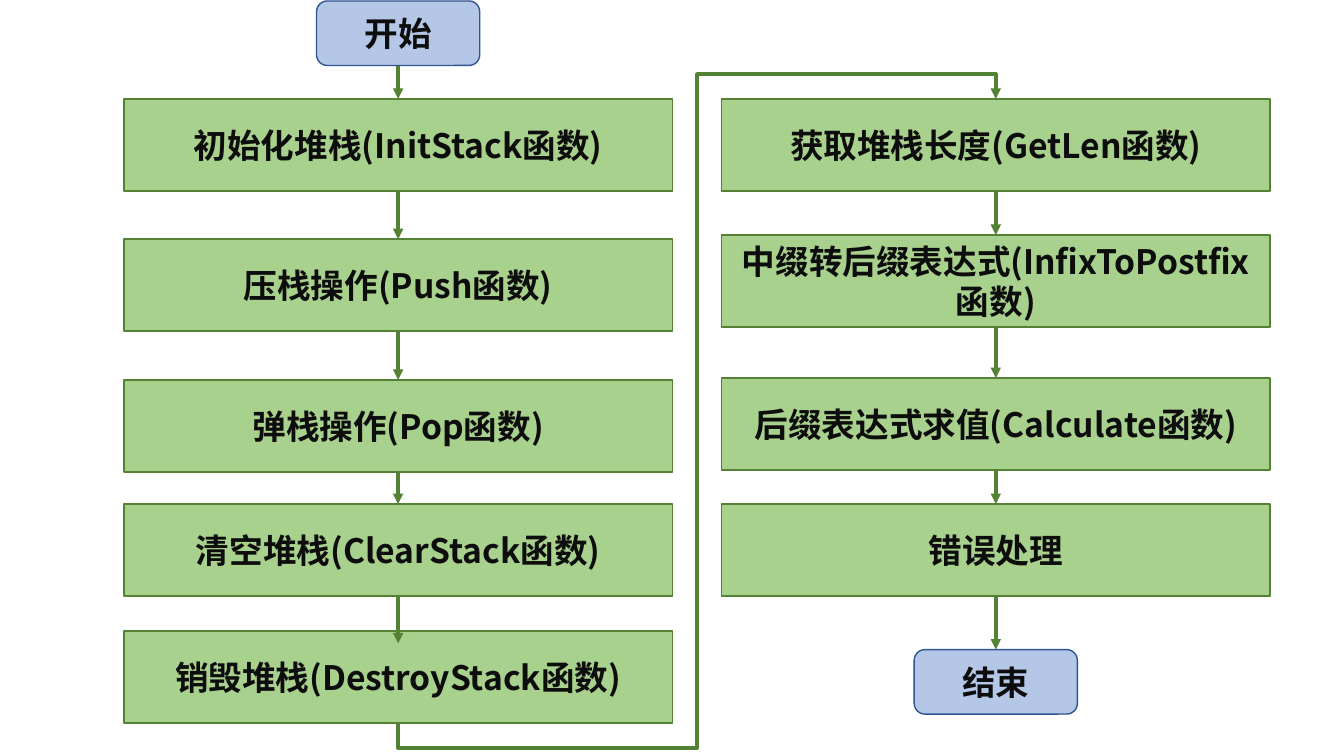
from itertools import pairwise
from lxml.etree import SubElement
from pptx import Presentation
from pptx.dml.color import RGBColor
from pptx.enum.shapes import MSO_CONNECTOR, MSO_SHAPE
from pptx.enum.text import MSO_ANCHOR, PP_ALIGN
from pptx.oxml.ns import qn
from pptx.util import Pt

COLOURS = {
    "step": "A9D18E",
    "step_line": "548235",
    "terminal": "B4C7E7",
    "terminal_line": "325491",
    "text": "0D0D0D",
}
FONT = "Noto Sans CJK SC"
LEFT_CENTRE, RIGHT_CENTRE = 284.4, 711.3
STEP_SIZE = (391.7, 65.8)
TERMINAL_SIZE = (116.6, 46.1)
LEFT_STEPS = [
    ("初始化堆栈(InitStack函数)", 70.7),
    ("压栈操作(Push函数)", 170.8),
    ("弹栈操作(Pop函数)", 271.4),
    ("清空堆栈(ClearStack函数)", 360),
    ("销毁堆栈(DestroyStack函数)", 450.7),
]
RIGHT_STEPS = [
    ("获取堆栈长度(GetLen函数)", 70.7),
    ("中缀转后缀表达式(InfixToPostfix函数)", 167.8),
    ("后缀表达式求值(Calculate函数)", 270),
    ("错误处理", 360),
]


def colour(name):
    return RGBColor.from_string(COLOURS[name])


def write(box, text, size=24, bold=True, ink="text", align=PP_ALIGN.CENTER):
    frame = box.text_frame
    frame.word_wrap = True
    frame.vertical_anchor = MSO_ANCHOR.MIDDLE
    para = frame.paragraphs[0]
    para.alignment = align
    span = para.add_run()
    span.text = text
    span.font.size = Pt(size)
    span.font.bold = bold
    span.font.color.rgb = colour(ink)
    span.font.name = FONT
    properties = span.font._element
    SubElement(properties, qn("a:ea")).set("typeface", FONT)


class Flowchart:
    def __init__(self, page, line_width=1, arrow_width=2.5):
        self.page = page
        self.line_width = line_width
        self.arrow_width = arrow_width

    def box(self, text, centre, top, size, preset, style):
        width, height = size
        box = self.page.shapes.add_shape(
            preset, Pt(centre - width / 2), Pt(top), Pt(width), Pt(height))
        box.shadow.inherit = False
        box.fill.solid()
        box.fill.fore_color.rgb = colour(style)
        box.line.color.rgb = colour(style + "_line")
        box.line.width = Pt(self.line_width)
        write(box, text)
        return box

    def step(self, text, centre, top):
        return self.box(text, centre, top, STEP_SIZE, MSO_SHAPE.RECTANGLE, "step")

    def terminal(self, text, centre, top):
        return self.box(text, centre, top, TERMINAL_SIZE,
                        MSO_SHAPE.ROUNDED_RECTANGLE, "terminal")

    def connector(self, kind, start, end):
        connector = self.page.shapes.add_connector(
            kind, *(Pt(length) for length in (*start, *end)))
        connector.line.color.rgb = colour("step_line")
        connector.line.width = Pt(self.arrow_width)
        properties = connector.element.spPr
        SubElement(properties.find(qn("a:ln")), qn("a:tailEnd")).set("type", "triangle")
        SubElement(properties, qn("a:effectLst"))
        return connector

    def arrow(self, upper, lower):
        arrow = self.connector(MSO_CONNECTOR.STRAIGHT, (0, 0), (0, 0))
        arrow.begin_connect(upper, 2)
        arrow.end_connect(lower, 0)
        return arrow

    def return_arrow(self, start, end, overshoot):
        (left, bottom), (right, top) = start, end
        middle_x, middle_y = (left + right) / 2, (top + bottom) / 2
        half_run, half_rise = (right - left) / 2, (bottom - top) / 2
        arrow = self.connector(
            MSO_CONNECTOR.ELBOW,
            (middle_x + half_rise, middle_y + half_run),
            (middle_x - half_rise, middle_y - half_run))
        properties = arrow.element.spPr
        properties.find(qn("a:xfrm")).set("rot", str(90 * 60000))
        geometry = properties.find(qn("a:prstGeom"))
        geometry.set("prst", "bentConnector5")
        share = overshoot / (bottom - top)
        for number, bend in enumerate((-share, 0.5, 1 + share), 1):
            guide = SubElement(geometry.find(qn("a:avLst")), qn("a:gd"))
            guide.set("name", f"adj{number}")
            guide.set("fmla", f"val {round(bend * 100000)}")


def main():
    deck = Presentation()
    deck.slide_width, deck.slide_height = Pt(960), Pt(540)
    page = deck.slides.add_slide(deck.slide_layouts[6])
    chart = Flowchart(page)

    left = [chart.step(text, LEFT_CENTRE, top) for text, top in LEFT_STEPS]
    right = [chart.step(text, RIGHT_CENTRE, top) for text, top in RIGHT_STEPS]
    left.insert(0, chart.terminal("开始", LEFT_CENTRE, 0.7))
    right.append(chart.terminal("结束", RIGHT_CENTRE, 464))

    for column in (left[:-1], right):
        for upper, lower in pairwise(column):
            chart.arrow(upper, lower)
    clear_bottom = LEFT_STEPS[-2][1] + STEP_SIZE[1]
    into_destroy = chart.connector(
        MSO_CONNECTOR.STRAIGHT, (LEFT_CENTRE, clear_bottom), (LEFT_CENTRE, 459.5))
    into_destroy.begin_connect(left[-2], 2)

    destroy_bottom = LEFT_STEPS[-1][1] + STEP_SIZE[1]
    chart.return_arrow((LEFT_CENTRE, destroy_bottom),
                       (RIGHT_CENTRE, RIGHT_STEPS[0][1]), overshoot=17.7)
    deck.save("out.pptx")


if __name__ == "__main__":
    main()
